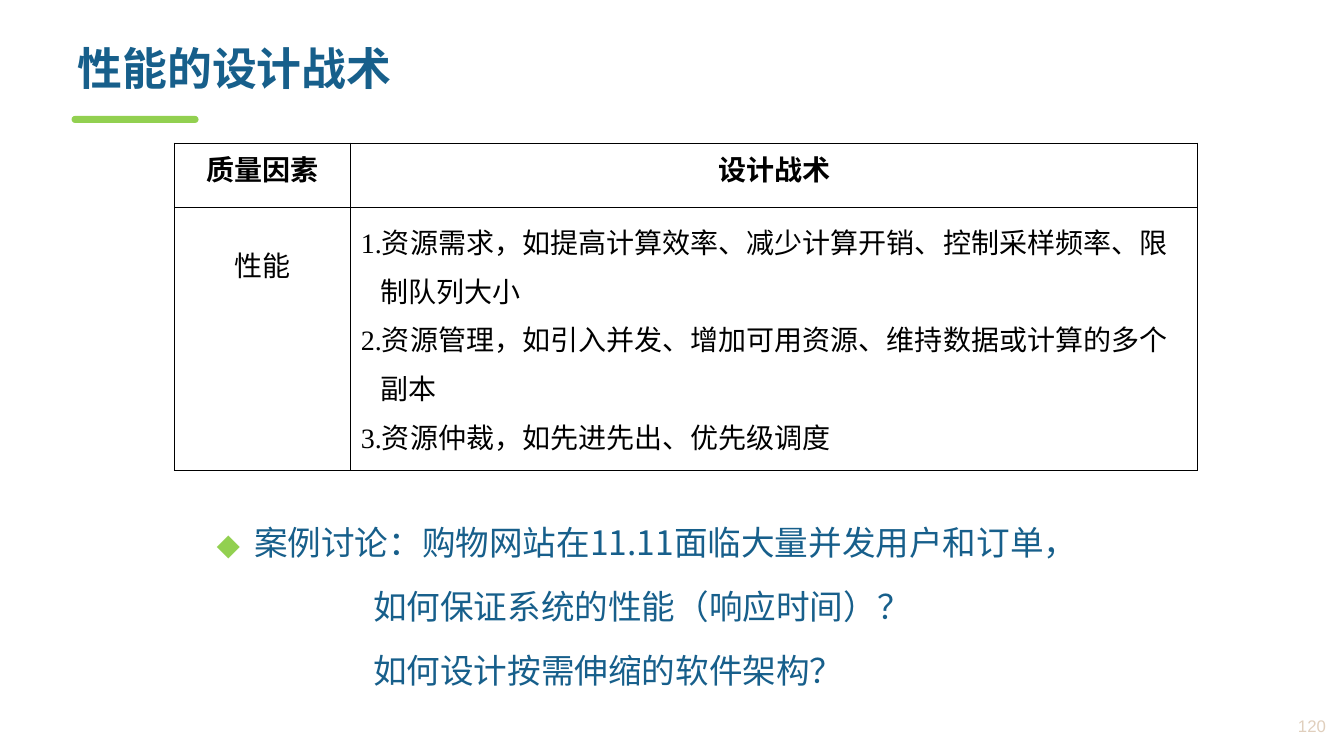
from lxml.etree import SubElement
from pptx import Presentation
from pptx.dml.color import RGBColor
from pptx.enum.shapes import MSO_SHAPE
from pptx.enum.text import MSO_ANCHOR, MSO_AUTO_SIZE, PP_ALIGN
from pptx.oxml.ns import qn
from pptx.util import Inches, Pt

SANS, SERIF = "Noto Sans CJK SC", "Times New Roman"
BLUE, GREEN, BLACK, SAND = "175F8B", "92D050", "000000", "E0CFBD"
TACTICS = [
    "1.资源需求，如提高计算效率、减少计算开销、控制采样频率、限制队列大小",
    "2.资源管理，如引入并发、增加可用资源、维持数据或计算的多个副本",
    "3.资源仲裁，如先进先出、优先级调度",
]
QUESTIONS = [
    "案例讨论：购物网站在11.11面临大量并发用户和订单，",
    "如何保证系统的性能（响应时间）？",
    "如何设计按需伸缩的软件架构？",
]


def rgb(color):
    return RGBColor.from_string(color)


def box(shape, left, top, width, height):
    shape.left, shape.top = Inches(left), Inches(top)
    shape.width, shape.height = Inches(width), Inches(height)


def add_run(p, text, size, color, font, bold=False):
    r = p.add_run()
    r.text = text
    r.font.size, r.font.bold, r.font.name = Pt(size), bold, font
    r.font.color.rgb = rgb(color)
    SubElement(r.font._element, qn("a:ea"), typeface=SANS)


def set_indent(p, left, first=0):
    pPr = p._p.get_or_add_pPr()
    pPr.set("marL", str(Inches(left)))
    pPr.set("indent", str(Inches(first)))
    return pPr


def add_bullet(pPr, char, color):
    clr = SubElement(pPr, qn("a:buClr"))
    SubElement(clr, qn("a:srgbClr"), val=color)
    SubElement(pPr, qn("a:buFont"), typeface=SANS)
    SubElement(pPr, qn("a:buChar"), char=char)


def set_borders(cell):
    tcPr = cell._tc.get_or_add_tcPr()
    for i, side in enumerate(("lnL", "lnR", "lnT", "lnB")):
        ln = tcPr.makeelement(qn(f"a:{side}"), {"w": str(Pt(1))})
        fill = SubElement(ln, qn("a:solidFill"))
        SubElement(fill, qn("a:srgbClr"), val=BLACK)
        tcPr.insert(i, ln)


def add_title(s, text):
    title = s.shapes.title
    box(title, 0.67, 0.41, 12.27, 0.75)
    tf = title.text_frame
    tf.vertical_anchor, tf.auto_size = MSO_ANCHOR.TOP, MSO_AUTO_SIZE.NONE
    p = tf.paragraphs[0]
    p.alignment, p.line_spacing = PP_ALIGN.LEFT, 0.9
    add_run(p, text, 32, BLUE, SANS, True)


def add_accent_bar(s):
    bar = s.shapes.add_shape(MSO_SHAPE.ROUNDED_RECTANGLE, Inches(0.71),
                             Inches(1.15), Inches(1.26), Inches(0.07))
    bar.adjustments[0] = 0.5
    bar.shadow.inherit = False
    bar.fill.solid()
    bar.fill.fore_color.rgb = rgb(GREEN)
    bar.line.fill.background()


def add_tactics_table(s):
    table = s.shapes.add_table(2, 2, Inches(1.73), Inches(1.42),
                               Inches(10.15), Inches(3.25)).table
    table.horz_banding = table.first_row = False
    for col, width in zip(table.columns, (1.75, 8.4)):
        col.width = Inches(width)
    for row, height in zip(table.rows, (0.64, 2.61)):
        row.height = Inches(height)
    for cell in table.iter_cells():
        cell.fill.background()
        set_borders(cell)

    # Centred header and factor cells
    for row, col, text in ((0, 0, "质量因素"), (0, 1, "设计战术"), (1, 0, "性能")):
        p = table.cell(row, col).text_frame.paragraphs[0]
        p.alignment = PP_ALIGN.CENTER
        add_run(p, text, 20, BLACK, SERIF, row == 0)
    table.cell(1, 0).margin_top = Inches(0.36)

    # Tactics with hanging indents
    tf = table.cell(1, 1).text_frame
    for i, tactic in enumerate(TACTICS):
        p = tf.add_paragraph() if i else tf.paragraphs[0]
        set_indent(p, 0.19, -0.19)
        p.line_spacing = 1.2
        add_run(p, tactic, 20, BLACK, SERIF)


def add_text_box(s, left, top, width, height):
    tb = s.shapes.add_textbox(Inches(left), Inches(top), Inches(width), Inches(height))
    tb.text_frame.word_wrap = True
    return tb.text_frame


def add_discussion(s):
    tf = add_text_box(s, 2.03, 4.92, 8.64, 1.98)
    tf.margin_left = tf.margin_right = Inches(0.12)
    tf.margin_top = tf.margin_bottom = Inches(0.06)
    for i, text in enumerate(QUESTIONS):
        p = tf.add_paragraph() if i else tf.paragraphs[0]
        if i:
            set_indent(p, 1.55)
            p.space_before = Pt(2.4)
        else:
            add_bullet(set_indent(p, 0.37, -0.37), "⬥", GREEN)
        p.line_spacing = 1.5
        add_run(p, text, 24, BLUE, SANS)


def add_page_number(s, number):
    tf = add_text_box(s, 12.12, 7.01, 1.13, 0.38)
    tf.vertical_anchor = MSO_ANCHOR.MIDDLE
    p = tf.paragraphs[0]
    p.alignment = PP_ALIGN.RIGHT
    add_run(p, number, 12, SAND, "Arial")


def main():
    prs = Presentation()
    prs.slide_width, prs.slide_height = Inches(13.33), Inches(7.5)
    s = prs.slides.add_slide(prs.slide_layouts[5])
    s.background.fill.solid()
    s.background.fill.fore_color.rgb = rgb("FFFFFF")
    add_accent_bar(s)
    add_title(s, "性能的设计战术")
    add_tactics_table(s)
    add_discussion(s)
    add_page_number(s, "120")
    prs.save("out.pptx")


if __name__ == "__main__":
    main()
